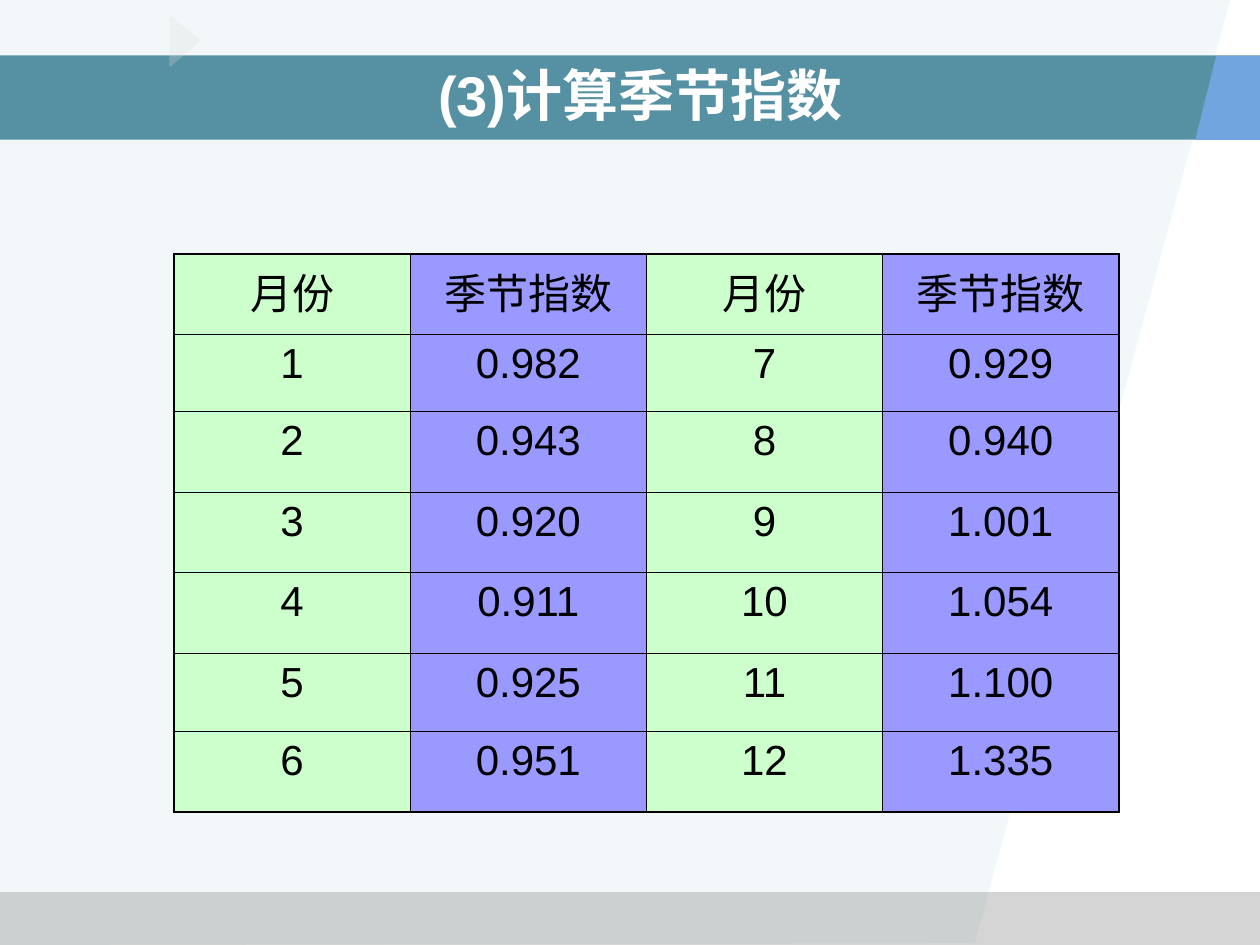
from lxml.etree import SubElement as Sub
from pptx import Presentation
from pptx.dml.color import RGBColor
from pptx.enum.shapes import MSO_SHAPE as Geo
from pptx.enum.text import MSO_ANCHOR as Anchor, PP_ALIGN as Align
from pptx.oxml import parse_xml
from pptx.oxml.ns import nsdecls, qn
from pptx.util import Pt

# Content
TITLE = "(3)计算季节指数"
HEADS = ["月份", "季节指数"]
INDEX = ["0.982", "0.943", "0.920", "0.911", "0.925", "0.951",
         "0.929", "0.940", "1.001", "1.054", "1.100", "1.335"]

# Style
FONT = "Arial"
WHITE = RGBColor(0xFF, 0xFF, 0xFF)
BLACK = RGBColor(0, 0, 0)
MIST = RGBColor(0x9F, 0xCA, 0xD3)
GRAY = RGBColor(0x96, 0x96, 0x96)
TEAL = RGBColor(0x26, 0x72, 0x8A)
BLUE = RGBColor(0x71, 0xA5, 0xDF)
PALE = RGBColor(0xDD, 0xDD, 0xDD)
GREEN = RGBColor(0xCC, 0xFF, 0xCC)
VIOLET = RGBColor(0x99, 0x99, 0xFF)
THIN, THICK = 0.45, 1.08

# Layout, in points
WIDE, HIGH = 720, 540
BAND_TOP, BAND_END = 31.7, 79.9
FOOT = 509.8
LEFT, TOP, COL = 99.4, 145.2, 135
ROWS = [46, 44, 46, 46, 46, 45, 46]


def paint(shape, color, alpha=100):
    shape.shadow.inherit = False
    shape.line.fill.background()
    shape.fill.solid()
    shape.fill.fore_color.rgb = color
    if alpha < 100:
        tone = shape._element.spPr.find(".//" + qn("a:srgbClr"))
        Sub(tone, qn("a:alpha"), val=str(alpha * 1000))


def add_geo(kind, box, color, alpha):
    shape = slide.shapes.add_shape(kind, *map(Pt, box))
    paint(shape, color, alpha)
    return shape


def add_poly(points, color, alpha=100):
    form = slide.shapes.build_freeform(*points[0], scale=Pt(1))
    form.add_line_segments(points[1:], close=True)
    paint(form.convert_to_shape(), color, alpha)


def write(frame, text, size, color, bold=False):
    frame.text = text
    para = frame.paragraphs[0]
    para.alignment = Align.CENTER
    font = para.runs[0].font
    font.name, font.size, font.bold = FONT, Pt(size), bold
    font.color.rgb = color


def add_edge(cell, side, width):
    cell._tc.get_or_add_tcPr().append(parse_xml(
        f'<a:ln{side} {nsdecls("a")} w="{Pt(width)}"><a:solidFill>'
        f'<a:srgbClr val="{BLACK}"/></a:solidFill></a:ln{side}>'))


deck = Presentation()
deck.slide_width, deck.slide_height = Pt(WIDE), Pt(HIGH)
slide = deck.slides.add_slide(deck.slide_layouts[6])

# Backdrop, bands and arrow
add_poly([(0, 0), (702.7, 0), (557.3, 539.3), (0, HIGH)], MIST, 13)
add_geo(Geo.RECTANGLE, (0, FOOT, WIDE, HIGH - FOOT), GRAY, 40)
add_geo(Geo.RECTANGLE, (0, BAND_TOP, WIDE, BAND_END - BAND_TOP), TEAL, 77)
add_poly([(694.8, BAND_TOP), (682.6, BAND_END), (WIDE, BAND_END),
          (WIDE, BAND_TOP)], BLUE)
arrow = add_geo(Geo.ISOSCELES_TRIANGLE, (90.7, 14.4, 30.2, 18), PALE, 27)
arrow.rotation = 90

# Title
title = slide.shapes.add_textbox(Pt(36), Pt(36), Pt(660), Pt(36)).text_frame
title.word_wrap = True
title.vertical_anchor = Anchor.MIDDLE
write(title, TITLE, 32, WHITE, True)

# Table: months 1-6 on the left, 7-12 on the right
half = len(INDEX) // 2
data = [HEADS * 2] + [
    [str(m + 1), INDEX[m], str(m + half + 1), INDEX[m + half]]
    for m in range(half)]
last_row, last_col = len(data) - 1, len(data[0]) - 1
table = slide.shapes.add_table(len(data), len(data[0]), Pt(LEFT), Pt(TOP),
                               Pt(COL * len(data[0])), Pt(sum(ROWS))).table
table.first_row = table.horz_banding = False
for col in table.columns:
    col.width = Pt(COL)
for r, line in enumerate(data):
    table.rows[r].height = Pt(ROWS[r])
    for c, text in enumerate(line):
        cell = table.cell(r, c)
        write(cell.text_frame, text, 24, BLACK)
        outer = {"L": c == 0, "R": c == last_col,
                 "T": r == 0, "B": r == last_row}
        for side, edge in outer.items():
            add_edge(cell, side, THICK if edge else THIN)
        cell.fill.solid()
        cell.fill.fore_color.rgb = VIOLET if c % 2 else GREEN

deck.save("out.pptx")
